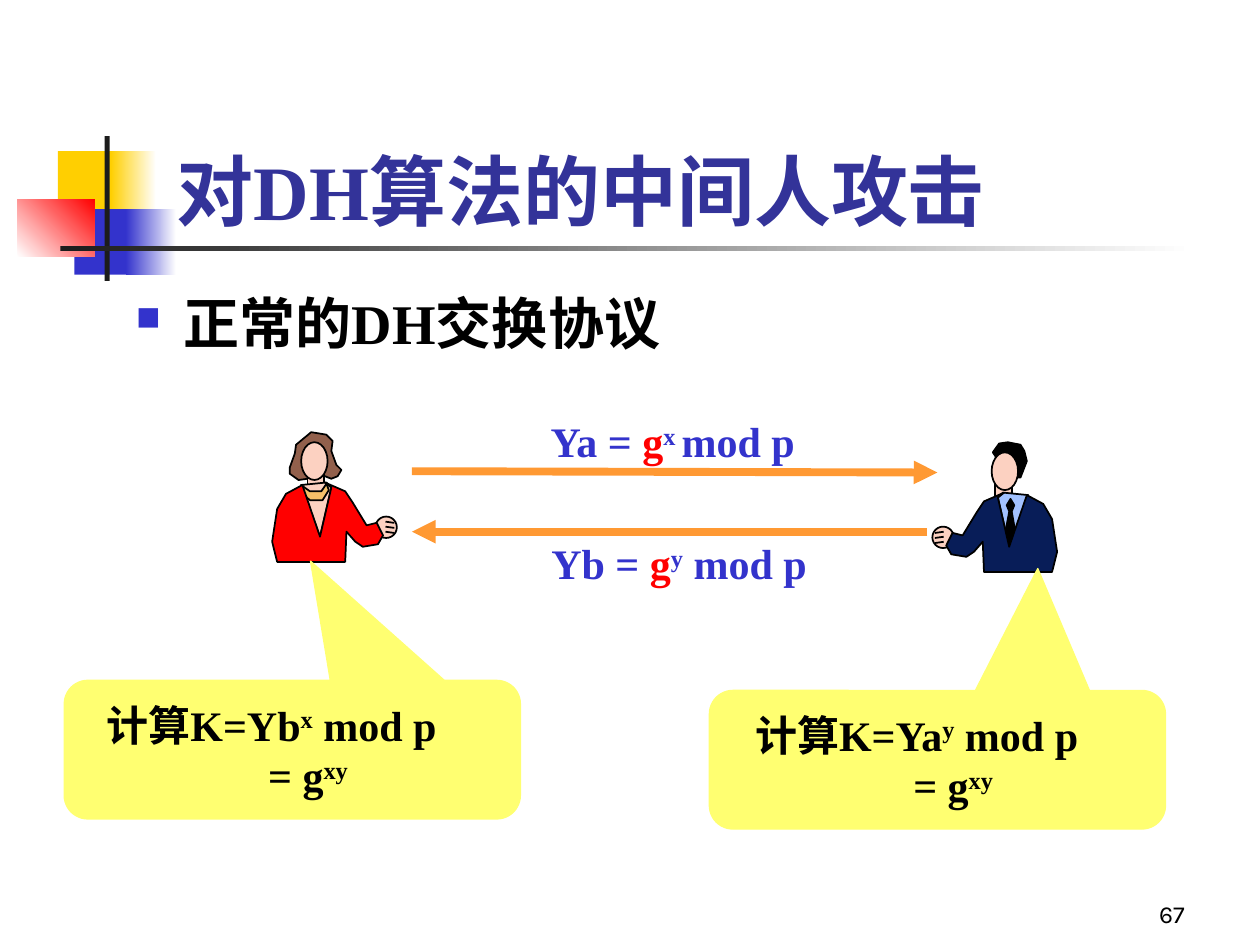
from dataclasses import dataclass

from lxml import etree
from pptx import Presentation
from pptx import util as u
from pptx.dml.color import RGBColor
from pptx.enum import shapes, text
from pptx.oxml.ns import qn

PX = 9144
SERIF = "Times New Roman"
BLUE, RED, BLACK, WHITE = "3333CC", "FF0000", "000000", "FFFFFF"
GOLD, INK, SKIN, YELLOW, ORANGE = "FFCF01", "1C1C1C", "FCD1C1", "FFFF71", "FF9933"

JACKET = [(24, 42), (11, 49), (4, 61), (0, 87), (4, 103), (58, 103), (59, 79), (66, 87),
          (72, 91), (84, 89), (88, 82), (83, 72), (75, 74), (64, 56), (58, 47), (42, 40),
          (47, 44), (38, 83)]
SHIRT = [(23, 42), (43, 40), (47, 44), (38, 83)]
BOB = [(31, 0), (19, 10), (18, 17), (14, 28), (14, 33), (21, 38), (42, 35), (47, 37),
       (52, 35), (55, 30), (51, 26), (47, 15), (48, 7), (43, 2)]
SHORT_CUT = [(51, 8), (46, 1), (39, 0), (29, 2), (26, 7), (24, 15), (29, 28), (38, 28)]
NECKLACE = [(23, 42), (30, 47), (39, 47), (43, 41), (45, 46), (40, 54), (30, 54), (23, 48)]
TIE = [(37, 45), (40, 50), (38, 55), (41, 71), (37, 89), (33, 72), (36, 55), (34, 50)]


@dataclass
class Person:
    """A figure drawn from its back edge towards the hand it holds out."""
    back: int
    top: int
    facing: int
    face_left: int
    hair: list
    hair_colour: str
    jacket_colour: str
    shirt_colour: str
    neckwear: list
    neckwear_colour: str


ALICE = Person(216, 343, 1, 23, BOB, "92604C", RED, SKIN, NECKLACE, "F6BF69")
BOB_PARTNER = Person(839, 351, -1, 31, SHORT_CUT, BLACK, "081D58", "A2C1FE", TIE, BLACK)


def px(lengths):
    """Turn px lengths into EMU."""
    return [u.Emu(length * PX) for length in lengths]


def colour(hex_code):
    """Turn a hex string into a colour."""
    return RGBColor.from_string(hex_code)


def paint(part, fill, line=None, width=1):
    """Set the fill and outline of a shape and drop its shadow."""
    part.shadow.inherit = False
    part.fill.solid()
    part.fill.fore_color.rgb = colour(fill)
    if line:
        part.line.color.rgb = colour(line)
        part.line.width = u.Pt(width)
    else:
        part.line.fill.background()


def add_bar(slide, box, start, end=None, angle=0):
    """Add a rectangle in one colour or fading into a second."""
    bar = slide.shapes.add_shape(shapes.MSO_SHAPE.RECTANGLE, *px(box))
    paint(bar, start)
    if end:
        bar.fill.gradient()
        bar.fill.gradient_angle = angle
        for stop, shade in zip(bar.fill.gradient_stops, (start, end)):
            stop.color.rgb = colour(shade)


def add_ornament(slide):
    """Add the overlapping squares and the rules that cross them."""
    for shade, top, solid, solid_width, fade, fade_width in (
            (GOLD, 120, 46, 48, 88, 36), (BLUE, 166, 59, 46, 100, 40)):
        add_bar(slide, (solid, top, solid_width, 52), shade)
        add_bar(slide, (fade, top, fade_width, 52), shade, WHITE)
    add_bar(slide, (14, 158, 61, 46), WHITE, RED, angle=45)
    add_bar(slide, (83, 108, 4, 115), INK)
    add_bar(slide, (48, 195, 900, 4), INK, WHITE)


def add_person(slide, person):
    """Add a grouped figure, mirrored when it faces left."""
    figure = slide.shapes.add_group_shape().shapes

    def place(x, y):
        return person.back + person.facing * x, person.top + y

    def add_outline(points, fill):
        start, *others = [place(*point) for point in points]
        builder = figure.build_freeform(*start, scale=PX)
        builder.add_line_segments(others)
        paint(builder.convert_to_shape(), fill, BLACK)

    def add_oval(x, y, width, height):
        near, top = place(x, y)
        left = min(near, near + person.facing * width)
        oval = figure.add_shape(shapes.MSO_SHAPE.OVAL, *px((left, top, width, height)))
        paint(oval, SKIN, BLACK)

    neck_left, neck_right = person.face_left + 5, person.face_left + 18
    add_outline(person.hair, person.hair_colour)
    add_outline([(neck_left, 32), (neck_right, 32), (neck_right, 45), (neck_left, 45)], SKIN)
    add_oval(person.face_left, 8, 21, 30)
    add_oval(82, 67, 17, 17)
    for knuckle in (71, 75, 79):
        add_outline([(90, knuckle), (97, knuckle + 1)], SKIN)
    add_outline(SHIRT, person.shirt_colour)
    add_outline(person.neckwear, person.neckwear_colour)
    add_outline(JACKET, person.jacket_colour)


def add_arrow(slide, ends):
    """Add a message arrow pointing at its second end."""
    arrow = slide.shapes.add_connector(shapes.MSO_CONNECTOR.STRAIGHT, *px(ends))
    arrow.line.color.rgb = colour(ORANGE)
    arrow.line.width = u.Pt(4.5)
    etree.SubElement(arrow.line._get_or_add_ln(), qn("a:tailEnd"), type="triangle")
    etree.SubElement(arrow._element.spPr, qn("a:effectLst"))


def style(paragraph, size, shade, align=text.PP_ALIGN.LEFT, font=SERIF, bold=True):
    """Set the alignment and font of a paragraph."""
    paragraph.alignment = align
    paragraph.font.name = font
    paragraph.font.size = u.Pt(size)
    paragraph.font.bold = bold
    paragraph.font.color.rgb = colour(shade)


def write_formula(paragraph, runs, shade, left=0, right=0):
    """Write a centred formula whose ^ runs are raised and ! runs are red."""
    indents = paragraph._p.get_or_add_pPr()
    indents.set("marL", str(left * PX))
    indents.set("marR", str(right * PX))
    style(paragraph, 24, shade, text.PP_ALIGN.CENTER)
    for content in runs:
        run = paragraph.add_run()
        run.text = content.lstrip("^!")
        if content.startswith("^"):
            run._r.get_or_add_rPr().set("baseline", "30000")
        if content.startswith("!"):
            run.font.color.rgb = colour(RED)


def add_message(slide, box, runs):
    """Add the formula that labels an arrow."""
    frame = slide.shapes.add_textbox(*px(box)).text_frame
    frame.word_wrap = False
    frame.auto_size = text.MSO_AUTO_SIZE.SHAPE_TO_FIT_TEXT
    write_formula(frame.paragraphs[0], runs, BLUE, left=50)


def add_callout(slide, left, top, tip, received, secret):
    """Add a speech callout with the key that one side computes."""
    callout = slide.shapes.add_shape(
        shapes.MSO_SHAPE.ROUNDED_RECTANGULAR_CALLOUT, *px((left, top, 362, 110)))
    for index, value in enumerate(tip):
        callout.adjustments[index] = value
    paint(callout, YELLOW, YELLOW, 0.75)
    frame = callout.text_frame
    frame.word_wrap = True
    frame.vertical_anchor = text.MSO_ANCHOR.MIDDLE
    key = [f"计算K={received}", f"^{secret}", " mod p"]
    write_formula(frame.paragraphs[0], key, BLACK, right=33)
    write_formula(frame.add_paragraph(), ["= g", "^xy"], BLACK, left=25)


def add_title(slide, content):
    """Place and format the slide title."""
    title = slide.shapes.title
    title.left, title.top, title.width, title.height = px((130, 67, 685, 125))
    frame = title.text_frame
    frame.text = content
    frame.word_wrap = True
    frame.auto_size = text.MSO_AUTO_SIZE.NONE
    frame.vertical_anchor = text.MSO_ANCHOR.BOTTOM
    style(frame.paragraphs[0], 44, "333399")


def add_bullet(slide, content):
    """Add the bulleted heading above the exchange."""
    frame = slide.shapes.add_textbox(*px((98, 224, 874, 151))).text_frame
    frame.word_wrap = True
    heading = frame.paragraphs[0]
    heading.text = content
    props = heading._p.get_or_add_pPr()
    props.set("marL", str(38 * PX))
    props.set("indent", str(-38 * PX))
    shade = etree.SubElement(props, qn("a:buClr"))
    etree.SubElement(shade, qn("a:srgbClr"), val=BLUE)
    etree.SubElement(props, qn("a:buSzPct"), val="60000")
    etree.SubElement(props, qn("a:buChar"), char="■")
    style(heading, 32, BLACK)


def add_page_number(slide, number):
    """Add the page number at the lower right."""
    frame = slide.shapes.add_textbox(*px((742, 692, 208, 50))).text_frame
    frame.word_wrap = True
    frame.vertical_anchor = text.MSO_ANCHOR.BOTTOM
    frame.text = number
    style(frame.paragraphs[0], 14, BLACK, text.PP_ALIGN.RIGHT, "Karla", False)


def main():
    """Build the slide and save it."""
    deck = Presentation()
    deck.slide_width, deck.slide_height = px((1000, 750))
    slide = deck.slides.add_slide(deck.slide_layouts[5])
    add_ornament(slide)
    add_page_number(slide, "67")
    add_title(slide, "对DH算法的中间人攻击")
    add_bullet(slide, "正常的DH交换协议")
    for person in (ALICE, BOB_PARTNER):
        add_person(slide, person)
    add_arrow(slide, (327, 374, 744, 375))
    add_message(slide, (371, 325, 276, 50), ["Ya = ", "!g", "^x ", "mod p"])
    add_arrow(slide, (736, 422, 327, 422))
    add_message(slide, (371, 422, 286, 50), ["Yb = ", "!g", "^y", " mod p"])
    add_callout(slide, 51, 540, (0.04, -1.36, 0.17), "Yb", "x")
    add_callout(slide, 563, 548, (0.22, -1.38, 0.17), "Ya", "y")
    deck.save("out.pptx")


if __name__ == "__main__":
    main()
